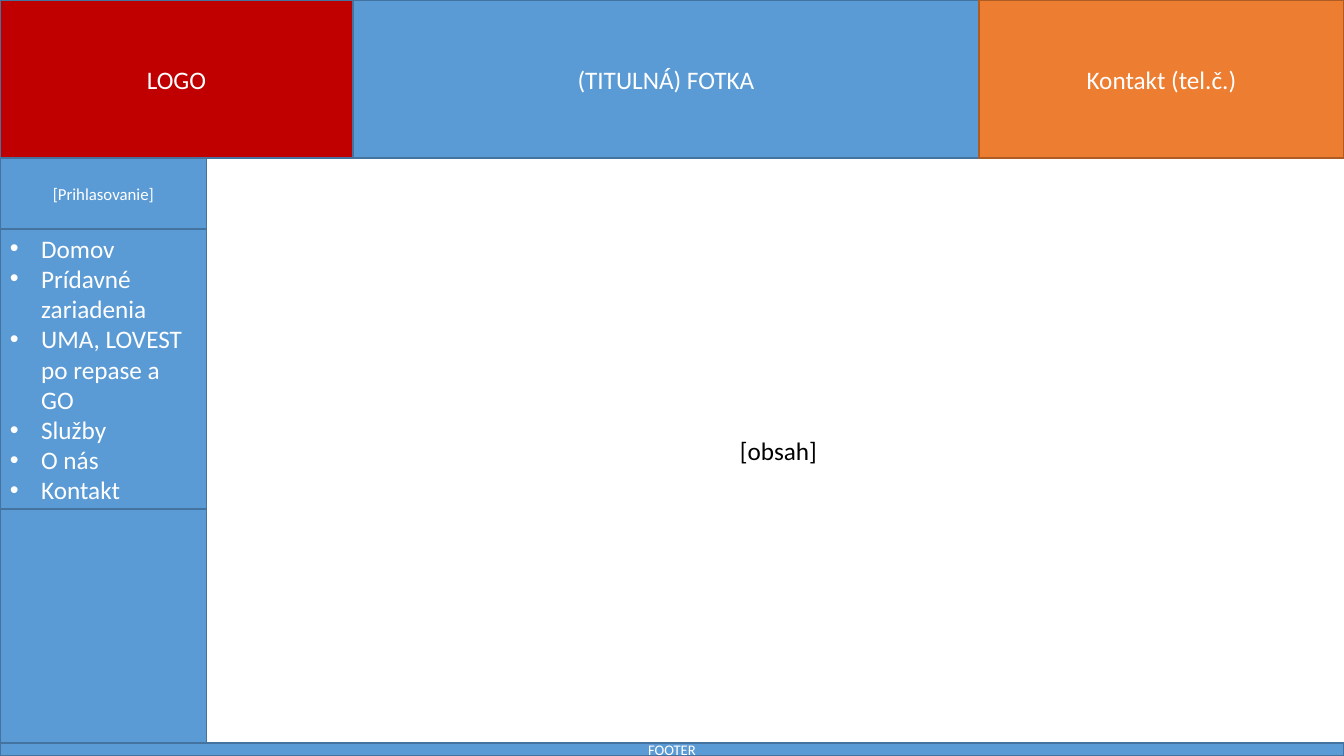
from dataclasses import dataclass
from pptx import Presentation
from pptx.dml.color import RGBColor
from pptx.enum.shapes import MSO_SHAPE as SHAPE
from pptx.enum.text import MSO_ANCHOR as ANCHOR, MSO_AUTO_SIZE as AUTO, PP_ALIGN as ALIGN
from pptx.oxml.ns import qn
from pptx.util import Inches, Pt
from lxml.etree import SubElement


@dataclass(frozen=True)
class Theme:
    font: str = "Calibri"
    blue: str = "5B9BD5"
    blue_line: str = "43739E"
    red: str = "C00000"
    orange: str = "ED7D31"
    orange_line: str = "AF5C24"
    white: str = "FFFFFF"
    black: str = "000000"
    body: float = 18
    small: float = 12
    tiny: float = 10.5


def add_bullet(p, indent=0.31):
    pPr = p._p.get_or_add_pPr()
    pPr.set("marL", str(Inches(indent)))
    pPr.set("indent", str(-Inches(indent)))
    SubElement(pPr, qn("a:buFont")).set("typeface", "Arial")
    SubElement(pPr, qn("a:buChar")).set("char", "•")


def write(tf, lines, *, font, size, color, align=ALIGN.CENTER, bullets=False):
    for i, line in enumerate(lines):
        p = tf.add_paragraph() if i else tf.paragraphs[0]
        p.alignment = align
        if bullets:
            add_bullet(p)
        r = p.add_run()
        r.text = line
        r.font.name = font
        r.font.size = Pt(size)
        r.font.color.rgb = RGBColor.from_string(color)


class Wireframe:
    def __init__(self, slide, theme):
        self.slide = slide
        self.theme = theme

    def block(self, x, y, w, h, lines=(), fill=None, line=None, size=None, **fmt):
        t = self.theme
        sp = self.slide.shapes.add_shape(SHAPE.RECTANGLE, *map(Inches, (x, y, w, h)))
        sp.shadow.inherit = False
        sp.fill.solid()
        sp.fill.fore_color.rgb = RGBColor.from_string(fill or t.blue)
        sp.line.color.rgb = RGBColor.from_string(line or t.blue_line)
        sp.line.width = Pt(1)
        tf = sp.text_frame
        tf.word_wrap = True
        tf.vertical_anchor = ANCHOR.MIDDLE
        write(tf, lines, font=t.font, size=size or t.body, color=t.white, **fmt)

    def label(self, x, y, w, h, text):
        t = self.theme
        tf = self.slide.shapes.add_textbox(*map(Inches, (x, y, w, h))).text_frame
        tf.word_wrap = False
        tf.auto_size = AUTO.SHAPE_TO_FIT_TEXT
        write(tf, [text], font=t.font, size=t.body, color=t.black, align=ALIGN.LEFT)


def main():
    width, height = 13.33, 7.5
    header_h, side_w, footer_h = 1.57, 2.05, 0.13
    login_h, menu_h = 0.7, 2.78
    logo_w, photo_w = 3.5, 6.21
    contact_x = logo_w + photo_w
    menu_y = header_h + login_h
    rest_y = menu_y + menu_h

    prs = Presentation()
    prs.slide_width, prs.slide_height = Inches(width), Inches(height)
    t = Theme()
    s = Wireframe(prs.slides.add_slide(prs.slide_layouts[6]), t)

    s.block(0, 0, logo_w, header_h, ["LOGO"], fill=t.red)
    s.block(logo_w, 0, photo_w, header_h, ["(TITULNÁ) FOTKA"])
    s.block(contact_x, 0, width - contact_x, header_h, ["Kontakt (tel.č.)"],
            fill=t.orange, line=t.orange_line)
    menu = ["Domov", "Prídavné zariadenia", "UMA, LOVEST po repase a GO",
            "Služby", "O nás", "Kontakt"]
    s.block(0, menu_y, side_w, menu_h, menu, align=ALIGN.LEFT, bullets=True)
    s.block(0, rest_y, side_w, height - rest_y)
    s.block(0, header_h, side_w, login_h, ["[Prihlasovanie]"], size=t.small)
    s.block(0, height - footer_h, width, footer_h, ["FOOTER"], size=t.tiny)
    s.label(7.24, 4.27, 0.97, 0.4, "[obsah]")

    prs.save("out.pptx")


if __name__ == "__main__":
    main()
